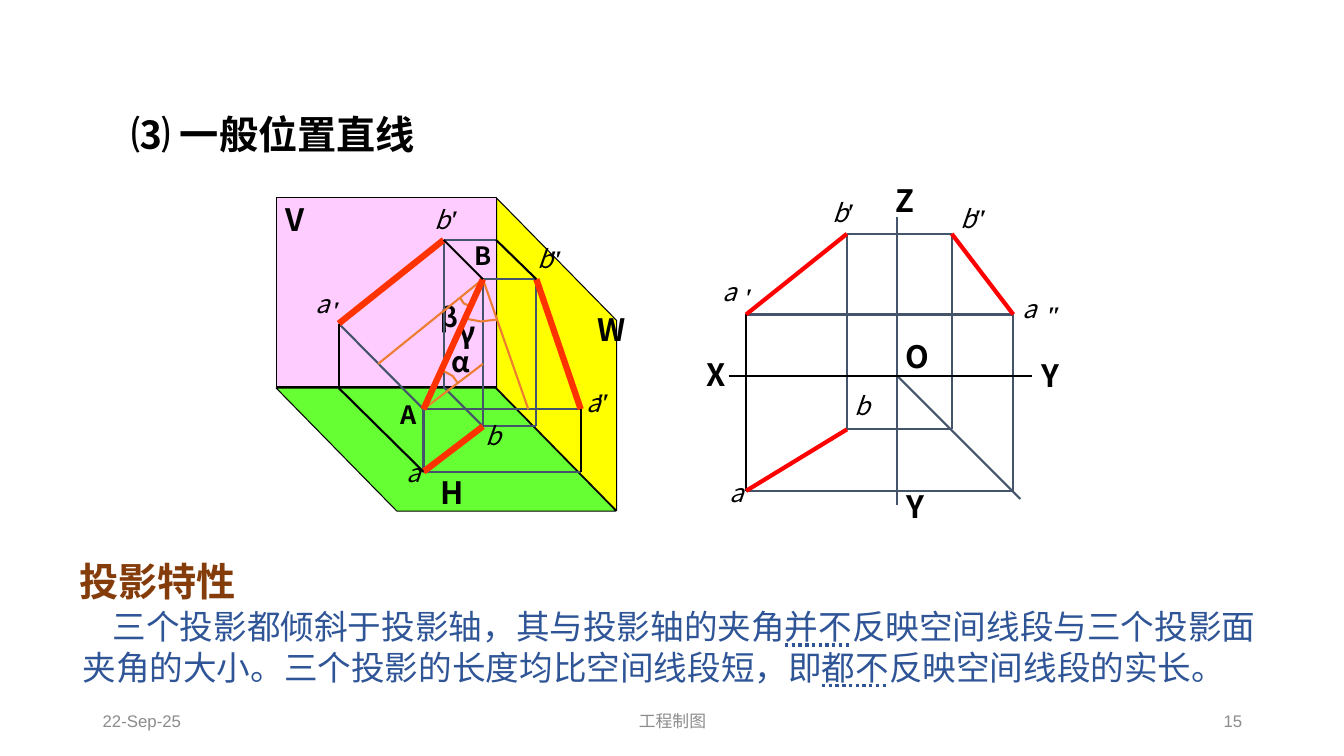
from dataclasses import dataclass

from lxml import etree
from pptx import Presentation
from pptx.dml.color import RGBColor
from pptx.enum.shapes import MSO_CONNECTOR, MSO_SHAPE
from pptx.enum.text import MSO_ANCHOR, MSO_AUTO_SIZE, MSO_UNDERLINE, PP_ALIGN
from pptx.oxml.ns import qn
from pptx.util import Emu, Pt

STRAIGHT = MSO_CONNECTOR.STRAIGHT
RECTANGLE, PARALLELOGRAM = MSO_SHAPE.RECTANGLE, MSO_SHAPE.PARALLELOGRAM
TOP, MIDDLE = MSO_ANCHOR.TOP, MSO_ANCHOR.MIDDLE
LEFT, CENTER, RIGHT = PP_ALIGN.LEFT, PP_ALIGN.CENTER, PP_ALIGN.RIGHT
GROW = MSO_AUTO_SIZE.SHAPE_TO_FIT_TEXT
DOTTED = MSO_UNDERLINE.DOTTED_HEAVY_LINE
PX = 9144


@dataclass(frozen=True)
class Theme:
    font: str = "Noto Sans CJK SC"
    prime_font: str = "Times New Roman"
    footer_font: str = "Arial"
    black: str = "000000"
    slate: str = "44546A"
    orange: str = "ED7D31"
    red: str = "FF0000"
    vermilion: str = "FF3300"
    green: str = "66FF33"
    yellow: str = "FFFF00"
    pink: str = "FFCCFF"
    brown: str = "843C0B"
    blue: str = "2F5597"
    grey: str = "8C8C8C"
    title: int = 28
    body: int = 24
    axis: int = 22
    point: int = 18
    footer: int = 12
    edge: float = 0.75
    thin: float = 1.5
    medium: float = 3
    thick: float = 4.5


class Drawing:
    def __init__(self, page, theme):
        self.page = page
        self.theme = theme

    def text(self, at, spans, size, color, font=None, bold=False, italic=False,
             inset=10, wrap=True, grow=True, anchor=MIDDLE, align=LEFT, indent=0):
        box = self.page.shapes.add_textbox(*(Emu(value * PX) for value in at))
        frame = box.text_frame
        frame.word_wrap = wrap
        if grow:
            frame.auto_size = GROW
        frame.vertical_anchor = anchor
        frame.margin_left = frame.margin_right = Emu(inset * PX)
        frame.margin_top = frame.margin_bottom = Emu(inset * PX // 2)
        para = frame.paragraphs[0]
        para.alignment = align
        if indent:
            para._p.get_or_add_pPr().set("indent", str(indent * PX))
        for words, underline in spans:
            span = para.add_run()
            span.text = words
            span.font.size = Pt(size)
            span.font.bold = bold
            span.font.italic = italic
            span.font.underline = underline
            span.font.color.rgb = RGBColor.from_string(color)
            span.font.name = font or self.theme.font
            east = etree.SubElement(span.font._element, qn("a:ea"))
            east.set("typeface", self.theme.font if font == self.theme.footer_font
                     else span.font.name)

    def label(self, words, left, top, size, italic=False):
        self.text((left, top, 16, size * 5 // 3), [(words, None)], size, self.theme.black,
                  bold=not italic, italic=italic, inset=0, wrap=False, anchor=TOP)

    def prime(self, mark, left, top, italic=False):
        self.text((left, top, 31, 40), [(mark, None)], self.theme.point, self.theme.black,
                  font=self.theme.prime_font, bold=True, italic=italic)

    def line(self, start, end, color, width):
        line = self.page.shapes.add_connector(
            STRAIGHT, *(Emu(value * PX) for value in (*start, *end)))
        line.line.color.rgb = RGBColor.from_string(color)
        line.line.width = Pt(width)
        etree.SubElement(line._element.spPr, qn("a:effectLst"))

    def lines(self, points, routes, color, width):
        for route in routes.split():
            names = route.split("-")
            for start, end in zip(names, names[1:]):
                self.line(points[start], points[end], color, width)

    def arc(self, points):
        builder = self.page.shapes.build_freeform(*points[0], scale=PX)
        builder.add_line_segments(points[1:], close=False)
        arc = builder.convert_to_shape()
        arc.shadow.inherit = False
        arc.fill.background()
        arc.line.color.rgb = RGBColor.from_string(self.theme.orange)
        arc.line.width = Pt(self.theme.thin)

    def plane(self, kind, at, color, slant=None, turn=0, flip=False):
        plane = self.page.shapes.add_shape(kind, *(Emu(value * PX) for value in at))
        plane.shadow.inherit = False
        plane.fill.solid()
        plane.fill.fore_color.rgb = RGBColor.from_string(color)
        plane.line.color.rgb = RGBColor.from_string(self.theme.black)
        plane.line.width = Pt(self.theme.edge)
        plane.rotation = turn
        if slant:
            plane.adjustments[0] = slant
        if flip:
            plane._element.spPr.xfrm.set("flipH", "1")


def draw_space_view(drawing, theme):
    points = {
        "A": (420, 406), "B": (479, 277), "a": (420, 468), "b": (479, 423),
        "a′": (336, 321), "b′": (440, 238), "a″": (576, 406), "b″": (532, 277),
        "ax": (336, 385), "bx": (440, 384), "ay": (576, 468), "by": (532, 423),
        "bz": (492, 238), "β": (375, 361), "α": (479, 361), "γ": (524, 406),
    }
    drawing.plane(PARALLELOGRAM, (274, 385, 337, 122), theme.green, 0.98, flip=True)
    drawing.plane(PARALLELOGRAM, (397, 292, 310, 119), theme.yellow, 1.02, turn=90)
    drawing.plane(RECTANGLE, (274, 196, 218, 188), theme.pink)
    drawing.label("β", 437, 299, 19)
    drawing.label("γ", 455, 312, 21)
    drawing.lines(points, "B-b″-by-b-B b′-bz b′-bx-b a′-A-a-ay A-a″",
                  theme.slate, theme.thin)
    drawing.lines(points, "B-γ B-β A-α", theme.orange, theme.thin)
    for arc in (((461, 316), (477, 319), (493, 317)),
                ((454, 380), (449, 373), (438, 367)),
                ((456, 295), (460, 301), (467, 304))):
        drawing.arc(arc)
    drawing.lines(points, "A-B a′-b′ a-b a″-b″", theme.vermilion, theme.thick)
    drawing.lines(points, "a′-ax-a ay-a″ b′-B bz-b″", theme.black, theme.thin)
    drawing.label("α", 448, 342, 20)
    for name, left, top in (("H", 437, 470), ("V", 283, 199), ("W", 593, 308)):
        drawing.label(name, left, top, theme.axis)
    for name, left, top in (("A", 397, 396), ("B", 471, 238)):
        drawing.label(name, left, top, theme.point)
    for name, left, top in (("a", 403, 454), ("b", 482, 417), ("a", 313, 286),
                            ("b", 431, 203), ("a", 582, 384), ("b", 533, 241)):
        drawing.label(name, left, top, theme.point, italic=True)
    drawing.prime("′", 438, 197)
    drawing.prime("′", 321, 287)
    drawing.prime("″", 535, 236)
    drawing.prime("″", 582, 378, italic=True)


def draw_flat_view(drawing, theme):
    points = {
        "a": (740, 487), "b": (840, 426), "a′": (740, 312), "b′": (840, 232),
        "a″": (1005, 312), "b″": (944, 232), "ay": (1005, 487), "by": (944, 426),
        "O": (890, 373), "Z": (890, 215), "Y": (890, 501),
        "X": (723, 373), "Yw": (1024, 373), "mitre": (1012, 495),
    }
    drawing.lines(points, "a-ay-a″-a′ b-by-b″-b′-b Z-Y O-mitre", theme.slate, theme.thin)
    drawing.lines(points, "X-Yw a-a′", theme.black, theme.thin)
    drawing.lines(points, "a-b a′-b′ a″-b″", theme.red, theme.medium)
    for name, left, top in (("Z", 888, 180), ("Y", 899, 484), ("O", 898, 335),
                            ("X", 701, 353), ("Y", 1033, 354)):
        drawing.label(name, left, top, theme.axis)
    for name, left, top in (("a", 724, 474), ("a", 717, 274), ("b", 848, 387),
                            ("b", 826, 196), ("a", 1014, 291), ("b", 953, 202)):
        drawing.label(name, left, top, theme.point, italic=True)
    drawing.prime("′", 831, 190)
    drawing.prime("′", 730, 274)
    drawing.prime("″", 956, 196, italic=True)
    drawing.prime("″", 1029, 292, italic=True)


def main():
    deck = Presentation()
    deck.slide_width, deck.slide_height = Emu(1333 * PX), Emu(750 * PX)
    page = deck.slides.add_slide(deck.slide_layouts[6])
    theme = Theme()
    drawing = Drawing(page, theme)
    drawing.text((121, 104, 316, 57), [("⑶ 一般位置直线", None)], theme.title,
                 theme.black, bold=True, wrap=False)
    draw_flat_view(drawing, theme)
    drawing.text((72, 596, 1196, 91), [
        ("三个投影都倾斜于投影轴，其与投影轴的夹角", None),
        ("并不", DOTTED),
        ("反映空间线段与三个投影面夹角的大小。三个投影的长度均比空间线段短，即", None),
        ("都不", DOTTED),
        ("反映空间线段的实长。", None),
    ], theme.body, theme.blue, indent=30)
    drawing.text((69, 548, 201, 57), [("投影特性", None)], theme.title, theme.brown,
                 bold=True, anchor=TOP)
    draw_space_view(drawing, theme)
    for words, left, width, align in (("22-Sep-25", 92, 300, LEFT),
                                      ("工程制图", 442, 450, CENTER),
                                      ("15", 942, 300, RIGHT)):
        drawing.text((left, 695, width, 40), [(words, None)], theme.footer, theme.grey,
                     font=theme.footer_font, grow=False, align=align)
    deck.save("out.pptx")


if __name__ == "__main__":
    main()
